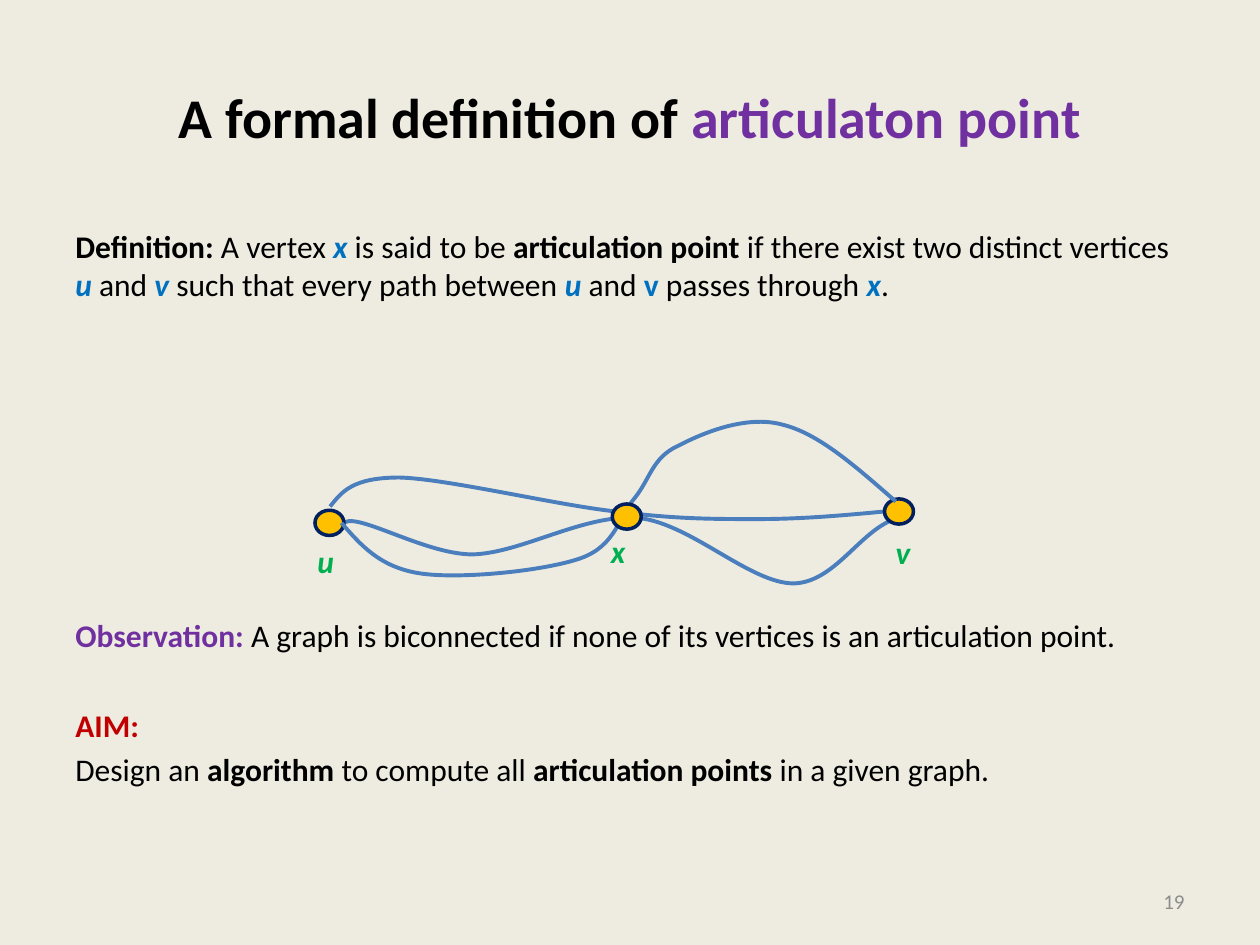
from lxml import etree
from pptx import Presentation
from pptx.dml.color import RGBColor
from pptx.enum.shapes import MSO_SHAPE
from pptx.enum.text import MSO_ANCHOR, PP_ALIGN
from pptx.oxml.ns import qn
from pptx.util import Inches, Pt

COLOURS = {
    "background": "EEECE1", "text": "000000", "purple": "7030A0", "blue": "0070C0",
    "red": "C00000", "green": "00B050", "grey": "8C8C8C",
    "curve": "4B7EBC", "node": "FFC000", "outline": "002060",
}
COLOUR = {name: RGBColor.from_string(value) for name, value in COLOURS.items()}

# Run styles: colour, bold, italic
PLAIN = ("text", False, False)
BOLD = ("text", True, False)
VERTEX = ("blue", True, True)
UPRIGHT_VERTEX = ("blue", True, False)
HEADING = ("purple", True, False)
AIM = ("red", True, False)
LABEL = ("green", True, True)
NUMBER = ("grey", False, False)

presentation = Presentation()
presentation.slide_width, presentation.slide_height = Inches(10), Inches(7.5)
COLUMN = presentation.slide_width / 10
ROW = presentation.slide_height / 7.5

slide = presentation.slides.add_slide(presentation.slide_layouts[6])
slide.background.fill.solid()
slide.background.fill.fore_color.rgb = COLOUR["background"]


def add_text(shapes, box, paragraphs, size, align=PP_ALIGN.LEFT,
             anchor=MSO_ANCHOR.TOP, wrap=True):
    """Add a text box; each paragraph is (space before, [(text, style), ...])."""
    left, top, width, height = box
    shape = shapes.add_textbox(int(left * COLUMN), int(top * ROW),
                               int(width * COLUMN), int(height * ROW))
    frame = shape.text_frame
    frame.word_wrap = wrap
    frame.vertical_anchor = anchor
    for index, (space, runs) in enumerate(paragraphs):
        paragraph = frame.add_paragraph() if index else frame.paragraphs[0]
        paragraph.alignment = align
        paragraph.space_before = Pt(space)
        paragraph.font.name = "Calibri"
        paragraph.font.size = Pt(size)
        for text, (colour, bold, italic) in runs:
            run = paragraph.add_run()
            run.text = text
            run.font.name = "Calibri"
            run.font.size = Pt(size)
            run.font.bold, run.font.italic = bold, italic
            run.font.color.rgb = COLOUR[colour]


def add_curve(points):
    """Draw a chain of cubic Bézier curves: a start, then three points per curve."""
    start_point, *others = [(int(x * COLUMN), int(y * ROW)) for x, y in points]
    builder = slide.shapes.build_freeform(*start_point)
    builder.add_line_segments(others, close=False)
    shape = builder.convert_to_shape()
    shape.shadow.inherit = False
    shape.fill.background()
    shape.line.color.rgb = COLOUR["curve"]
    shape.line.width = Pt(2.25)
    outline = next(shape._element.iter(qn("a:path")))
    segments = outline.findall(qn("a:lnTo"))
    for start in range(0, len(segments), 3):
        cubic = etree.SubElement(outline, qn("a:cubicBezTo"))
        for segment in segments[start:start + 3]:
            cubic.append(segment[0])
            outline.remove(segment)


lower_path = [(2.72, 4.16), (2.8, 4.04), (3.36, 4.4), (3.75, 4.4),
              (4.14, 4.39), (4.63, 4.08), (5.06, 4.11),
              (5.48, 4.15), (5.95, 4.63), (6.3, 4.63),
              (6.66, 4.62), (6.86, 4.13), (7.19, 4.1)]
upper_path = [(2.62, 4.02), (2.71, 3.91), (2.79, 3.79), (3.17, 3.79),
              (3.55, 3.8), (4.42, 4.01), (4.89, 4.06),
              (5.36, 4.12), (5.66, 4.12), (6.01, 4.12),
              (6.37, 4.12), (6.7, 4.09), (7.02, 4.06)]
crossing_path = [(2.71, 4.15), (2.86, 4.32), (3.01, 4.5), (3.33, 4.55),
                 (3.65, 4.6), (4.33, 4.53), (4.61, 4.43),
                 (4.89, 4.33), (4.91, 4.1), (5.04, 3.95),
                 (5.16, 3.8), (5.18, 3.63), (5.38, 3.54),
                 (5.57, 3.44), (5.92, 3.29), (6.21, 3.37),
                 (6.5, 3.44), (6.8, 3.71), (7.11, 3.98)]
add_curve(lower_path)
add_curve(upper_path)

title = [("A formal definition of ", BOLD), ("articulaton point", HEADING)]
add_text(slide.shapes, (0.5, 0.3, 9, 1.25), [(0, title)], 32,
         PP_ALIGN.CENTER, MSO_ANCHOR.MIDDLE)

definition = [
    ("Definition:", BOLD), (" A vertex ", PLAIN), ("x", VERTEX),
    (" is said to be ", PLAIN), ("articulation point ", BOLD),
    ("if there exist two distinct vertices ", PLAIN), ("u", VERTEX),
    (" and ", PLAIN), ("v", VERTEX), (" such that every path between ", PLAIN),
    ("u", VERTEX), (" and ", PLAIN), ("v", UPRIGHT_VERTEX),
    (" passes through ", PLAIN), ("x", VERTEX), (".", PLAIN),
]
observation = [
    ("Observation: ", HEADING),
    ("A graph is biconnected if none of its vertices is an articulation point.", PLAIN),
]
task = [
    ("Design an ", PLAIN), ("algorithm", BOLD), (" to compute all ", PLAIN),
    ("articulation points ", BOLD), ("in a given graph.", PLAIN),
]
add_text(slide.shapes, (0.5, 1.75, 9, 4.95),
         [(0, definition), (179.5, observation), (29.5, [("AIM:", AIM)]), (3.6, task)], 18)
add_text(slide.shapes, (7.17, 6.95, 2.33, 0.4), [(0, [("19", NUMBER)])], 12,
         PP_ALIGN.RIGHT, MSO_ANCHOR.MIDDLE)

# Vertices: name, node corner, label corner
vertices = [
    ("v", (7.02, 3.96), (7.01, 4.18)),
    ("u", (2.5, 4.05), (2.42, 4.25)),
    ("x", (4.86, 4), (4.75, 4.17)),
]
for name, (left, top), label_corner in vertices:
    if name == "x":
        add_curve(crossing_path)  # above u and v, below x
    group = slide.shapes.add_group_shape()
    node = group.shapes.add_shape(MSO_SHAPE.OVAL, int(left * COLUMN), int(top * ROW),
                                  int(0.23 * COLUMN), int(0.2 * ROW))
    node.shadow.inherit = False
    node.fill.solid()
    node.fill.fore_color.rgb = COLOUR["node"]
    node.line.color.rgb = COLOUR["outline"]
    node.line.width = Pt(2)
    add_text(group.shapes, (*label_corner, 0.33, 0.4), [(0, [(name, LABEL)])], 18,
             wrap=False)

presentation.save("out.pptx")
